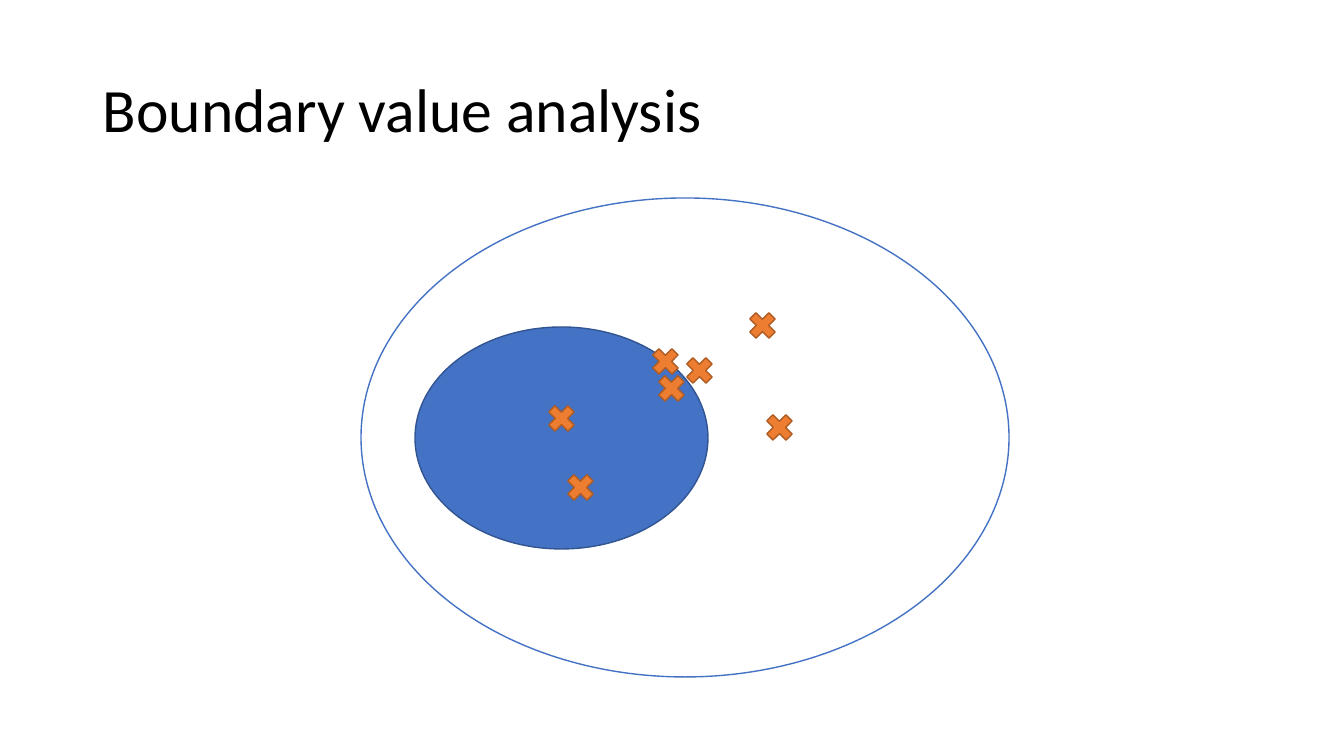
from pptx import Presentation, util as u
from pptx.dml.color import RGBColor
from pptx.enum import shapes, text

BLACK = RGBColor(0x00, 0x00, 0x00)
WHITE = RGBColor(0xFF, 0xFF, 0xFF)
BLUE = RGBColor(0x44, 0x72, 0xC4)
DARK_BLUE = RGBColor(0x32, 0x54, 0x91)
ORANGE = RGBColor(0xED, 0x7D, 0x31)
DARK_ORANGE = RGBColor(0xAF, 0x5C, 0x24)

WIDTH, HEIGHT = 1344, 756
SCALE = u.Inches(7.5) / HEIGHT
CROSS_SIZE = 37


def emu(*lengths):
    return [round(px * SCALE) for px in lengths]


def add_figure(preset, box, fill, line):
    figure = slide.shapes.add_shape(preset, *emu(*box))
    figure.shadow.inherit = False
    figure.fill.solid()
    figure.fill.fore_color.rgb = fill
    figure.line.color.rgb = line
    figure.line.width = u.Pt(1)


deck = Presentation()
deck.slide_width, deck.slide_height = emu(WIDTH, HEIGHT)
slide = deck.slides.add_slide(deck.slide_layouts[6])

heading = slide.shapes.add_textbox(*emu(93, 40, 1159, 146)).text_frame
heading.word_wrap = True
heading.vertical_anchor = text.MSO_ANCHOR.MIDDLE
heading.text = "Boundary value analysis"
heading.paragraphs[0].line_spacing = 0.9
heading_font = heading.paragraphs[0].runs[0].font
heading_format = {"name": "Calibri", "size": u.Pt(44)}
for attribute, value in heading_format.items():
    setattr(heading_font, attribute, value)
heading_font.color.rgb = BLACK

input_domain = (361, 198, 648, 479)
valid_partition = (415, 327, 293, 222)
add_figure(shapes.MSO_SHAPE.OVAL, input_domain, WHITE, BLUE)
add_figure(shapes.MSO_SHAPE.OVAL, valid_partition, BLUE, DARK_BLUE)

inside_values = [(543, 400), (562, 469)]
outside_values = [(744, 307), (761, 409)]
boundary_values = [(647, 343), (653, 370), (681, 352)]
for left, top in inside_values + outside_values + boundary_values:
    add_figure(shapes.MSO_SHAPE.MATH_MULTIPLY, (left, top, CROSS_SIZE, CROSS_SIZE), ORANGE, DARK_ORANGE)

deck.save("out.pptx")
